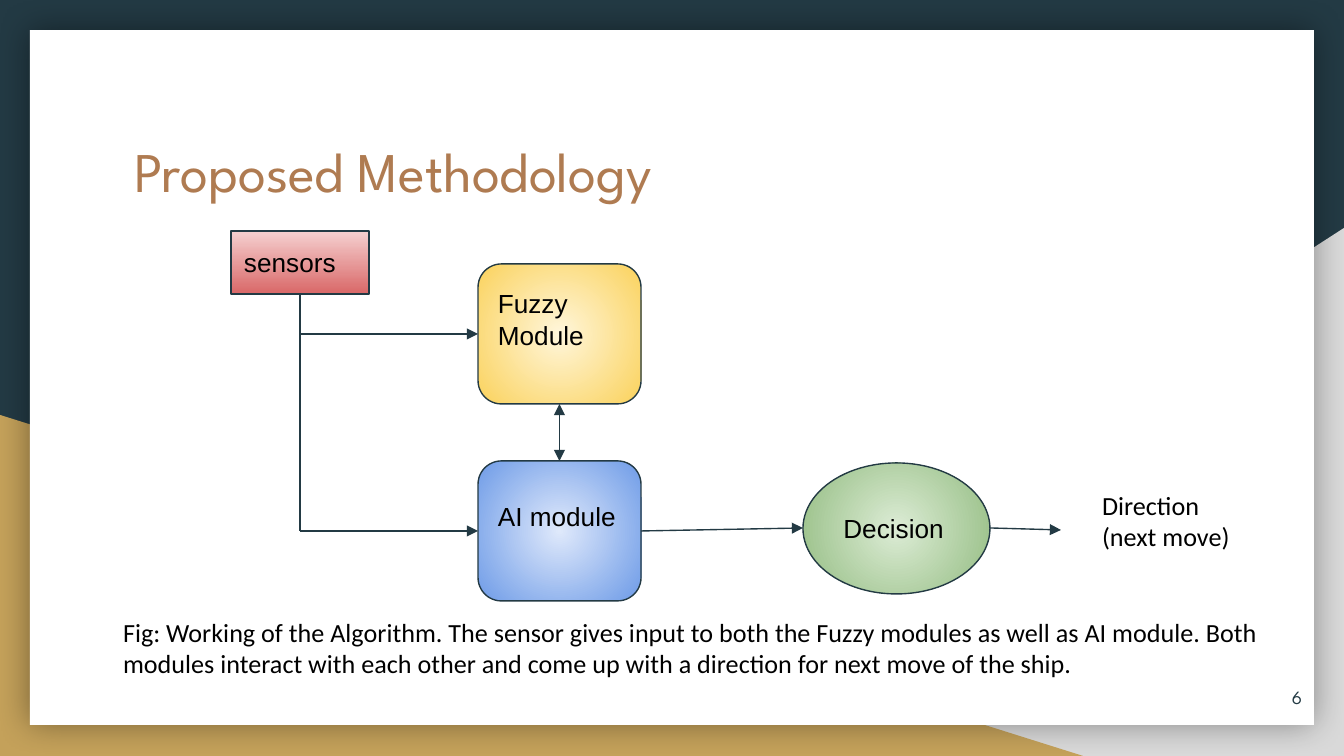
from lxml.etree import SubElement
from pptx import Presentation
from pptx.dml.color import RGBColor
from pptx.enum.dml import MSO_FILL
from pptx.enum.shapes import MSO_CONNECTOR, MSO_SHAPE
from pptx.enum.text import MSO_ANCHOR, MSO_AUTO_SIZE, PP_ALIGN
from pptx.oxml.ns import qn
from pptx.util import Pt

PX = 9144000 / 1344
NAVY = RGBColor(0x23, 0x3A, 0x44)
GRAY = RGBColor(0xD9, 0xD9, 0xD9)
GOLD = RGBColor(0xC4, 0xA1, 0x5A)
WHITE = RGBColor(0xFF, 0xFF, 0xFF)
BLACK = RGBColor(0x00, 0x00, 0x00)
BROWN = RGBColor(0xAF, 0x7B, 0x51)
RED_PAIR = RGBColor(0xF5, 0xD0, 0xD0), RGBColor(0xD9, 0x68, 0x68)
YELLOW_PAIR = RGBColor(0xFF, 0xF6, 0xDB), RGBColor(0xFA, 0xD2, 0x5C)
BLUE_PAIR = RGBColor(0xDF, 0xE9, 0xFB), RGBColor(0x6E, 0x9B, 0xE7)
GREEN_PAIR = RGBColor(0xDC, 0xEC, 0xD5), RGBColor(0x93, 0xBC, 0x81)
INSET = 13


def px(*values):
    return [round(v * PX) for v in values]


def write(sp, text, font, size, color, align=PP_ALIGN.LEFT,
          anchor=MSO_ANCHOR.TOP, bottom=INSET):
    tf = sp.text_frame
    tf.word_wrap = True
    tf.auto_size = MSO_AUTO_SIZE.NONE
    tf.vertical_anchor = anchor
    tf.margin_left, tf.margin_top, tf.margin_right, tf.margin_bottom = px(
        INSET, INSET, INSET, bottom)
    p = tf.paragraphs[0]
    p.alignment = align
    r = p.add_run()
    r.text = text
    r.font.name = font
    r.font.size = Pt(size)
    r.font.color.rgb = color


def add_text(s, box, text, font, size, color, **options):
    sp = s.shapes.add_textbox(*px(*box))
    write(sp, text, font, size, color, **options)


def add_plain(s, kind, box, color):
    sp = s.shapes.add_shape(kind, *px(*box))
    sp.shadow.inherit = False
    sp.fill.solid()
    sp.fill.fore_color.rgb = color
    sp.line.fill.background()
    return sp


def add_backdrop(s, width, height):
    s.background.fill.solid()
    s.background.fill.fore_color.rgb = NAVY
    right = add_plain(s, MSO_SHAPE.RIGHT_TRIANGLE,
                      (width - 817, height - 528, 817, 528), GRAY)
    right._element.spPr.find(qn("a:xfrm")).set("flipH", "1")
    add_plain(s, MSO_SHAPE.RIGHT_TRIANGLE, (0, height - 341, 1083, 341), GOLD)
    panel = add_plain(s, MSO_SHAPE.RECTANGLE,
                      (30, 30, width - 60, height - 61), WHITE)
    effects = panel._element.spPr.find(qn("a:effectLst"))
    shadow = SubElement(effects, qn("a:outerShdw"), blurRad=str(Pt(18)),
                        dist="0", dir="0", algn="ctr", rotWithShape="0")
    color = SubElement(shadow, qn("a:srgbClr"), val=str(BLACK))
    SubElement(color, qn("a:alpha"), val="40000")


def add_title(s, box):
    sp = s.shapes.title
    sp.left, sp.top, sp.width, sp.height = px(*box)
    write(sp, "Proposed Methodology", "League Spartan", 30, BROWN)


def add_node(s, kind, box, text, colors, radial=True, bottom=INSET):
    sp = s.shapes.add_shape(kind, *px(*box))
    sp.shadow.inherit = False
    fill = sp.fill
    fill.gradient()
    fill.gradient_angle = 270
    for stop, color, position in zip(fill.gradient_stops, colors, (0, 1)):
        stop.color.rgb = color
        stop.position = position
    if radial:
        grad = sp._element.spPr.find(qn("a:gradFill"))
        grad.remove(grad.find(qn("a:lin")))
        circle = SubElement(grad, qn("a:path"), path="circle")
        SubElement(circle, qn("a:fillToRect"),
                   l="50000", t="50000", r="50000", b="50000")
    sp.line.color.rgb = NAVY
    sp.line.width = Pt(0.75)
    write(sp, text, "Arial", 14, BLACK, anchor=MSO_ANCHOR.MIDDLE, bottom=bottom)
    return sp


def add_line(s, start, end, begin=None, finish=None, arrows=("tailEnd",)):
    c = s.shapes.add_connector(MSO_CONNECTOR.STRAIGHT, *px(*start, *end))
    if begin:
        c.begin_connect(*begin)
    if finish:
        c.end_connect(*finish)
    c.line.color.rgb = NAVY
    c.line.width = Pt(0.75)
    for arrow in arrows:
        SubElement(c.line._get_or_add_ln(), qn("a:" + arrow), type="triangle")
    SubElement(c._element.spPr, qn("a:effectLst"))


def add_flow(s, left, top):
    mod_x, mod_w, mod_h = left + 247, 163, 140
    fuzzy_y, ai_y = top + 33, top + 230
    mid_x, trunk_x = mod_x + mod_w / 2, left + 69
    fuzzy_mid, ai_mid = fuzzy_y + mod_h / 2, ai_y + mod_h / 2
    dec_x, dec_w, dec_mid = left + 572, 187, top + 297

    fuzzy = add_node(s, MSO_SHAPE.ROUNDED_RECTANGLE,
                     (mod_x, fuzzy_y, mod_w, mod_h), "Fuzzy Module",
                     YELLOW_PAIR, bottom=43)
    ai = add_node(s, MSO_SHAPE.ROUNDED_RECTANGLE,
                  (mod_x, ai_y, mod_w, mod_h), "AI module",
                  BLUE_PAIR, bottom=43)
    sensors = add_node(s, MSO_SHAPE.RECTANGLE, (left, top, 138, 63),
                       "sensors", RED_PAIR, radial=False)
    add_node(s, MSO_SHAPE.OVAL, (dec_x, top + 232, dec_w, 131),
             "Decision", GREEN_PAIR)

    add_line(s, (trunk_x, top + 63), (trunk_x, ai_mid),
             begin=(sensors, 2), arrows=())
    for module, y in ((fuzzy, fuzzy_mid), (ai, ai_mid)):
        add_line(s, (trunk_x, y), (mod_x, y), finish=(module, 1))
    add_line(s, (mid_x, fuzzy_y + mod_h), (mid_x, ai_y),
             begin=(fuzzy, 2), finish=(ai, 0), arrows=("headEnd", "tailEnd"))
    add_line(s, (mod_x + mod_w, ai_mid), (dec_x, dec_mid), begin=(ai, 3))
    add_line(s, (dec_x + dec_w, dec_mid), (left + 830, dec_mid + 2))
    add_text(s, (left + 858, top + 245, 161, 90), "Direction (next move)",
             "Calibri", 14, BLACK)


def main():
    prs = Presentation()
    prs.slide_width, prs.slide_height = px(1344, 756)
    s = prs.slides.add_slide(prs.slide_layouts[5])
    add_backdrop(s, 1344, 756)
    add_title(s, (121, 124, 1103, 140))
    add_flow(s, 231, 231)
    add_text(s, (110, 603, 1165, 90),
             "Fig: Working of the Algorithm. The sensor gives input to both the "
             "Fuzzy modules as well as AI module. Both modules interact with each "
             "other and come up with a direction for next move of the ship.",
             "Calibri", 14, BLACK)
    add_text(s, (1234, 668, 81, 58), "6", "League Spartan", 10, NAVY,
             align=PP_ALIGN.RIGHT, anchor=MSO_ANCHOR.MIDDLE)
    tree = s.shapes._spTree
    title = s.shapes.title._element
    tree.remove(title)
    tree.insert(5, title)
    prs.save("out.pptx")


if __name__ == "__main__":
    main()
